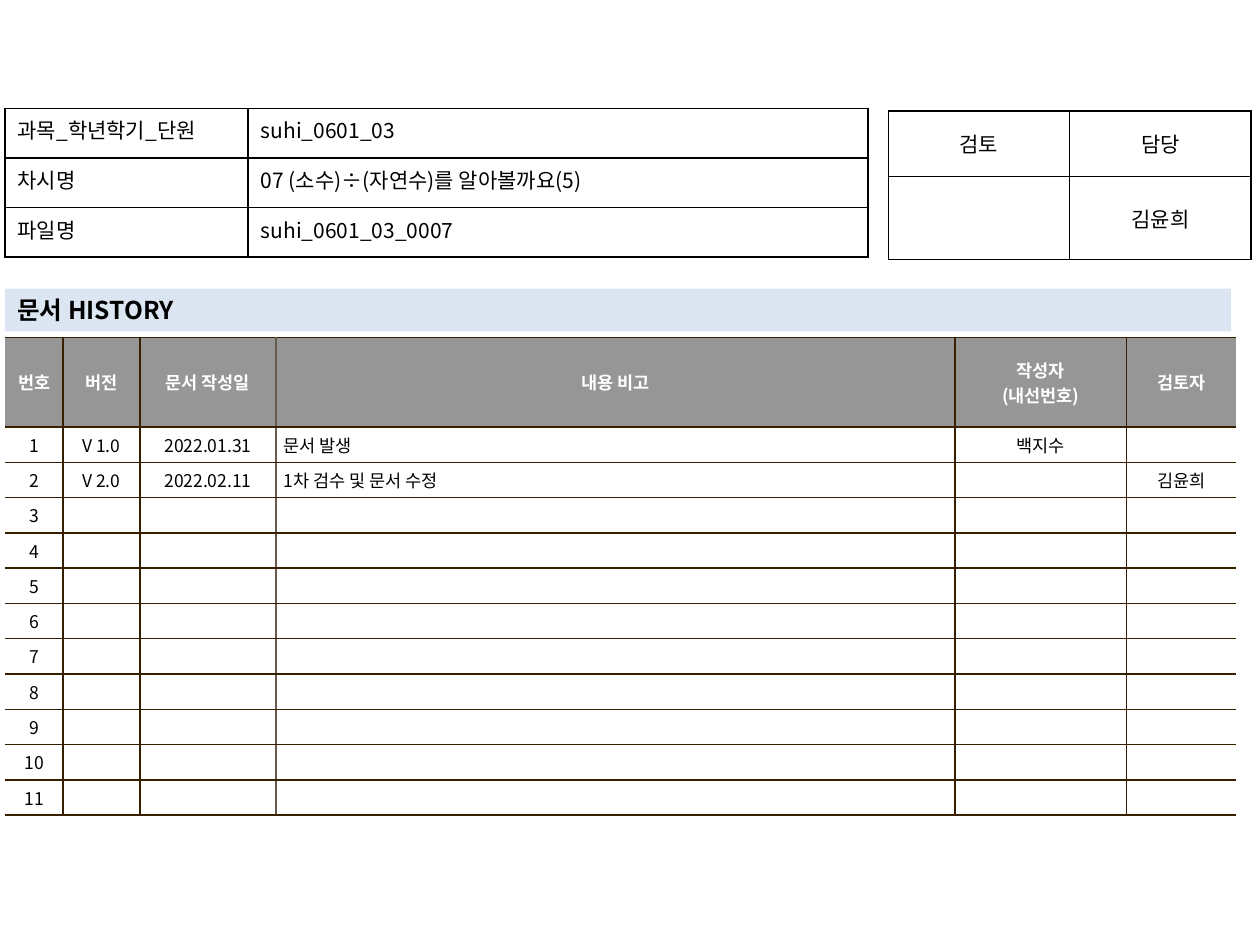
from lxml.etree import SubElement
from pptx import Presentation
from pptx.dml.color import RGBColor
from pptx.enum.shapes import MSO_SHAPE as Shape
from pptx.enum.text import MSO_ANCHOR as Anchor, PP_ALIGN as Align
from pptx.oxml.ns import qn
from pptx.util import Inches, Pt

# The slide is a grid of 100 columns by 75 rows
SLIDE_WIDTH, SLIDE_HEIGHT = Inches(10), Inches(7.5)
GRID_COLUMNS, GRID_ROWS = 100, 75
LEFT_EDGE = 0.4

FONT = "Noto Sans CJK KR"
BLACK = RGBColor(0x00, 0x00, 0x00)
WHITE = RGBColor(0xFF, 0xFF, 0xFF)
GRAY = RGBColor(0x96, 0x96, 0x96)
BROWN = RGBColor(0x36, 0x20, 0x00)
TAUPE = RGBColor(0x64, 0x5B, 0x4C)
PALE_BLUE = RGBColor(0xDC, 0xE6, 0xF2)

INFO_FONT = {"name": FONT, "size": Pt(12), "bold": False}
TITLE_FONT = {"name": FONT, "size": Pt(14), "bold": True}
HEADER_FONT = {"name": FONT, "size": Pt(10), "bold": True}
ENTRY_FONT = {"name": FONT, "size": Pt(10), "bold": False}

INFO_MARGINS = {"margin_left": Inches(0.1), "margin_right": Inches(0.1),
                "margin_top": Inches(0.05), "margin_bottom": Inches(0.05)}
HISTORY_MARGINS = {"margin_left": Inches(0.06), "margin_right": Inches(0.06),
                   "margin_top": Inches(0.04), "margin_bottom": Inches(0.04)}

INFO = [["과목_학년학기_단원", "suhi_0601_03"],
        ["차시명", "07 (소수)÷(자연수)를 알아볼까요(5)"],
        ["파일명", "suhi_0601_03_0007"]]
REVIEW = [["검토", "담당"], ["", "김윤희"]]
HISTORY_HEADER = ["번호", "버전", "문서 작성일", "내용 비고",
                  "작성자\n(내선번호)", "검토자"]
HISTORY_ENTRIES = [["V 1.0", "2022.01.31", "문서 발생", "백지수", ""],
                   ["V 2.0", "2022.02.11", "1차 검수 및 문서 수정", "", "김윤희"]]
HISTORY_LINES = 11
DATE_COLUMN, NOTE_COLUMN = 2, 3


def across(columns):
    return round(SLIDE_WIDTH * columns / GRID_COLUMNS)


def down(rows):
    return round(SLIDE_HEIGHT * rows / GRID_ROWS)


def apply_format(target, values):
    for attribute, value in values.items():
        setattr(target, attribute, value)


def write_text(frame, text, align, font_values, color):
    frame.text = text
    for paragraph in frame.paragraphs:
        paragraph.alignment = align
        for run in paragraph.runs:
            apply_format(run.font, font_values)
            run.font.color.rgb = color
            SubElement(run.font._element, qn("a:ea"), typeface=FONT)
        # Keeps empty cells as low as the written ones
        end = paragraph._p.get_or_add_endParaRPr()
        end.set("sz", str(round(font_values["size"].pt * 100)))


def draw_border(cell, side, color):
    line = SubElement(cell._tc.get_or_add_tcPr(), qn(f"a:ln{side}"),
                      w=str(Pt(1)))
    if color is None:
        SubElement(line, qn("a:noFill"))
    else:
        fill = SubElement(line, qn("a:solidFill"))
        SubElement(fill, qn("a:srgbClr"), val=str(color))


def style_cell(cell, text, align, font, color, margins, anchor, borders, fill):
    write_text(cell.text_frame, text, align, font, color)
    apply_format(cell, {**margins, "vertical_anchor": anchor})
    for side in "LRTB":
        draw_border(cell, side, borders[side])
    if fill is None:
        cell.fill.background()
    else:
        cell.fill.solid()
        cell.fill.fore_color.rgb = fill


def add_grid(slide, left, top, widths, heights):
    table = slide.shapes.add_table(
        len(heights), len(widths), across(left), down(top),
        across(sum(widths)), down(sum(heights))).table
    apply_format(table, {"first_row": False, "horz_banding": False})
    for column, width in zip(table.columns, widths):
        column.width = across(width)
    for row, height in zip(table.rows, heights):
        row.height = down(height)
    return table


def add_info_table(slide, left, top, widths, heights, rows, aligns, anchor):
    table = add_grid(slide, left, top, widths, heights)
    borders = dict.fromkeys("LRTB", BLACK)
    for r, texts in enumerate(rows):
        for c, text in enumerate(texts):
            style_cell(table.cell(r, c), text, aligns[c], INFO_FONT, BLACK,
                       INFO_MARGINS, anchor, borders, None)


def history_borders(column):
    """The sides stay open and the date and note columns share a softer line."""
    borders = dict.fromkeys("LRTB", BROWN)
    if column == 0:
        borders["L"] = None
    elif column == DATE_COLUMN:
        borders["R"] = TAUPE
    elif column == NOTE_COLUMN:
        borders["L"] = TAUPE
    elif column == len(HISTORY_HEADER) - 1:
        borders["R"] = None
    return borders


def add_history_table(slide):
    widths = [4.6, 6.1, 10.8, 53.9, 13.6, 8.7]
    table = add_grid(slide, LEFT_EDGE, 26.8, widths,
                     [7.1] + [2.8] * HISTORY_LINES)
    blank = [""] * (len(widths) - 1)
    entries = HISTORY_ENTRIES + [blank] * (HISTORY_LINES - len(HISTORY_ENTRIES))
    lines = [HISTORY_HEADER] + [[str(number), *entry] for number, entry
                                in enumerate(entries, start=1)]
    for r, texts in enumerate(lines):
        is_header = r == 0
        font, color, fill = ((HEADER_FONT, WHITE, GRAY) if is_header
                             else (ENTRY_FONT, BLACK, WHITE))
        for c, text in enumerate(texts):
            is_note = c == NOTE_COLUMN and not is_header
            style_cell(table.cell(r, c), text,
                       Align.LEFT if is_note else Align.CENTER, font, color,
                       HISTORY_MARGINS, Anchor.MIDDLE, history_borders(c), fill)


def add_title_band(slide, text):
    band = slide.shapes.add_shape(Shape.RECTANGLE, across(LEFT_EDGE),
                                  down(22.9), across(97.3), down(3.4))
    band.shadow.inherit = False
    band.fill.solid()
    band.fill.fore_color.rgb = PALE_BLUE
    band.line.fill.background()
    apply_format(band.text_frame, {**INFO_MARGINS, "word_wrap": True,
                                   "vertical_anchor": Anchor.MIDDLE})
    write_text(band.text_frame, text, Align.LEFT, TITLE_FONT, BLACK)


def main():
    deck = Presentation()
    apply_format(deck, {"slide_width": SLIDE_WIDTH,
                        "slide_height": SLIDE_HEIGHT})
    slide = deck.slides.add_slide(deck.slide_layouts[6])

    # Change history
    add_history_table(slide)
    # Reviewers
    add_info_table(slide, 70.5, 8.8, [14.4] * 2, [5.2, 6.6], REVIEW,
                   [Align.CENTER] * 2, Anchor.MIDDLE)
    # History heading
    add_title_band(slide, "문서 HISTORY")
    # Lesson details
    add_info_table(slide, LEFT_EDGE, 8.6, [19.3, 49.2], [3.94] * 3, INFO,
                   [Align.JUSTIFY, Align.LEFT], Anchor.TOP)

    deck.save("out.pptx")


if __name__ == "__main__":
    main()
